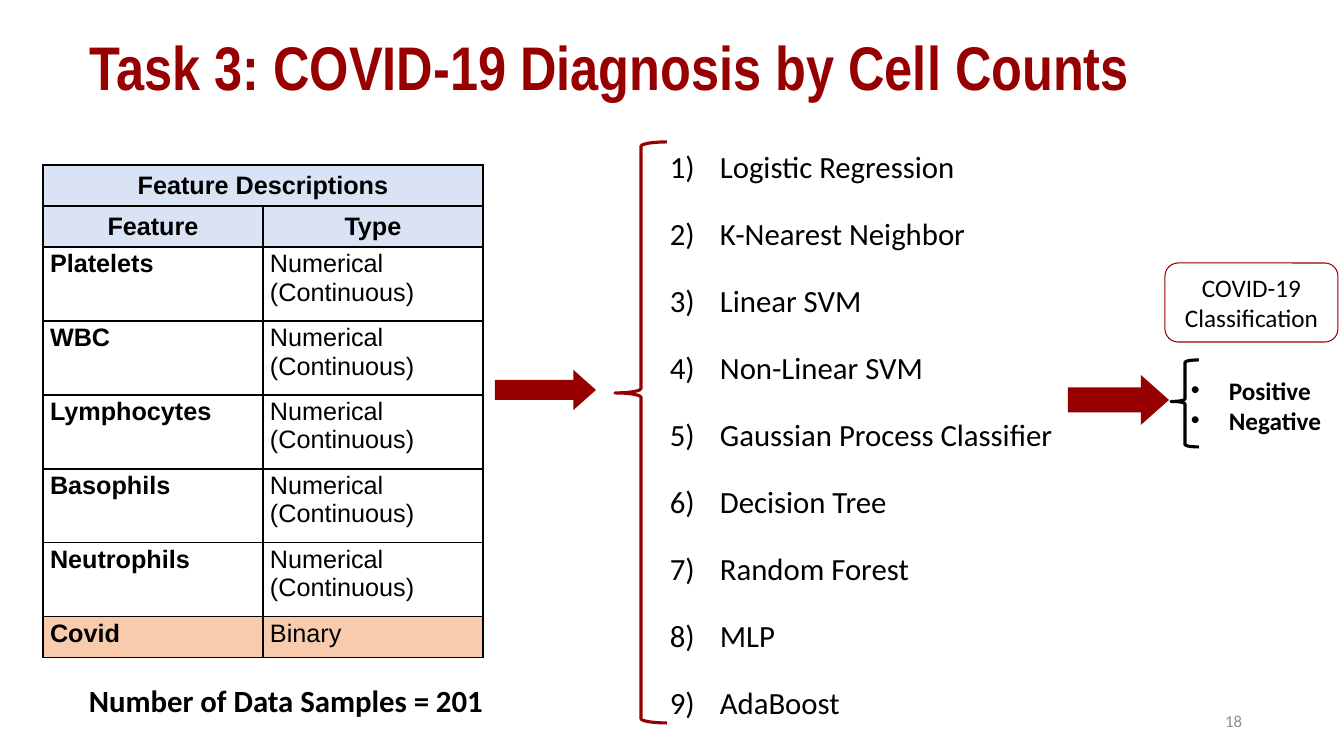
"""Build the slide on COVID-19 diagnosis by cell counts."""
from lxml import etree
from pptx import Presentation
from pptx import util as u
from pptx.dml.color import RGBColor
from pptx.enum import shapes, text
from pptx.oxml import ns

TITLE = "Task 3: COVID-19 Diagnosis by Cell Counts"
TABLE_HEAD = "Feature Descriptions"
COLUMN_HEADS = ("Feature", "Type")
CELL_COUNTS = ("Platelets", "WBC", "Lymphocytes", "Basophils", "Neutrophils")
COUNT_TYPE = "Numerical (Continuous)"
TARGET = ("Covid\u00a0".strip(), "Binary")
SAMPLES = "Number of Data Samples = 201"
MODELS = (
    "Logistic Regression", "K-Nearest Neighbor", "Linear SVM",
    "Non-Linear SVM", "Gaussian Process Classifier", "Decision Tree",
    "Random Forest", "MLP", "AdaBoost",
)
OUTCOME = "COVID-19 Classification"
CLASSES = ("Positive", "Negative")
PAGE = "18"

COLORS = {
    "red": "970000", "black": "000000", "grey": "8C8C8C",
    "white": "FFFFFF", "head": "DAE3F3", "target": "F8CBAD",
}
ARROWS = ((495, 370, 101, 40), (1068, 375, 101, 50))
BRACES = (
    (615, 142, 52, 581, 0.432, "red"),
    (1171, 360, 28, 87, 0.477, "black"),
)
TABLE_LEFT, TABLE_TOP, COLUMN = 43, 165, 220
SHORT_ROW, TALL_ROW = 41, 74
SCALE = 914400 / 100.8


def px(n):
    return u.Emu(round(n * SCALE))


def rgb(name):
    return RGBColor.from_string(COLORS[name])


def style(p, size, bold=False, color="black", font="Calibri", align=None):
    p.alignment = align
    for r in p.runs:
        r.font.size = u.Pt(size)
        r.font.bold = bold
        r.font.name = font
        r.font.color.rgb = rgb(color)


def add_text(s, box, lines):
    tf = s.shapes.add_textbox(*map(px, box)).text_frame
    tf.word_wrap = True
    tf.text = "\n".join(lines)
    return tf


def add_bullet(p, indent, tag, **attrs):
    pPr = p._p.get_or_add_pPr()
    pPr.set("marL", str(px(indent)))
    pPr.set("indent", str(-px(indent)))
    if tag == "a:buChar":
        etree.SubElement(pPr, ns.qn("a:buFont"), typeface="Arial")
    etree.SubElement(pPr, ns.qn(tag), **attrs)


def add_shape(s, kind, box, fill=None, line=None, width=0):
    sp = s.shapes.add_shape(kind, *map(px, box))
    sp.shadow.inherit = False
    if fill:
        sp.fill.solid()
        sp.fill.fore_color.rgb = rgb(fill)
    else:
        sp.fill.background()
    if line:
        sp.line.color.rgb = rgb(line)
        sp.line.width = u.Pt(width)
    else:
        sp.line.fill.background()
    return sp


def fill_cell(cell, words, fill, bold, head=False):
    cell.margin_left = cell.margin_right = px(7)
    cell.margin_top = cell.margin_bottom = px(3)
    tcPr = cell._tc.get_or_add_tcPr()
    for side in "LRTB":
        ln = etree.SubElement(tcPr, ns.qn(f"a:ln{side}"), w=str(u.Pt(1)))
        solid = etree.SubElement(ln, ns.qn("a:solidFill"))
        etree.SubElement(solid, ns.qn("a:srgbClr"), val=COLORS["black"])
    cell.fill.solid()
    cell.fill.fore_color.rgb = rgb(fill)
    cell.text = words
    if head:
        cell.vertical_anchor = text.MSO_ANCHOR.MIDDLE
    align = text.PP_ALIGN.CENTER if head else text.PP_ALIGN.LEFT
    style(cell.text_frame.paragraphs[0], 18, bold, font="Arial", align=align)


def add_features(s):
    rows = [((TABLE_HEAD, ""), "head"), (COLUMN_HEADS, "head")]
    rows += [((name, COUNT_TYPE), "white") for name in CELL_COUNTS]
    rows.append((TARGET, "target"))
    heights = [TALL_ROW if fill == "white" else SHORT_ROW for _, fill in rows]
    box = (TABLE_LEFT, TABLE_TOP, 2 * COLUMN, sum(heights))
    table = s.shapes.add_table(len(rows), 2, *map(px, box)).table
    for column in table.columns:
        column.width = px(COLUMN)
    for i, (words, fill) in enumerate(rows):
        table.rows[i].height = px(heights[i])
        head = fill == "head"
        for j, word in enumerate(words):
            fill_cell(table.cell(i, j), word, fill, head or j == 0, head)
    table.cell(0, 0).merge(table.cell(0, 1))


def add_models(s):
    tf = add_text(s, (660, 124, 420, 614), MODELS)
    for i, p in enumerate(tf.paragraphs):
        p.line_spacing = 1.5
        p.space_before = u.Pt(8.3 if i else 0)
        add_bullet(p, 50, "a:buAutoNum", type="arabicParenR")
        style(p, 22)


def add_outcome(s):
    tf = add_text(s, (1181, 370, 163, 72), CLASSES)
    for p in tf.paragraphs:
        add_bullet(p, 38, "a:buChar", char="•")
        style(p, 18, True)
    kind = shapes.MSO_SHAPE.ROUNDED_RECTANGLE
    sp = add_shape(s, kind, (1165, 263, 173, 79), line="red", width=0.75)
    tf = sp.text_frame
    tf.word_wrap = True
    tf.text = OUTCOME
    style(tf.paragraphs[0], 18, align=text.PP_ALIGN.CENTER)


def add_title(s):
    title = s.shapes.title
    title.left, title.top, title.width, title.height = map(px, (79, -2, 1159, 146))
    tf = title.text_frame
    tf.text = TITLE
    tf.word_wrap = True
    tf.auto_size = text.MSO_AUTO_SIZE.NONE
    tf.vertical_anchor = text.MSO_ANCHOR.MIDDLE
    p = tf.paragraphs[0]
    p.line_spacing = 0.9
    style(p, 44, True, "red", "Arial Narrow", text.PP_ALIGN.LEFT)


def main():
    prs = Presentation()
    prs.slide_width, prs.slide_height = px(1344), px(756)
    s = prs.slides.add_slide(prs.slide_layouts[5])
    add_title(s)
    add_features(s)
    for box in ARROWS:
        sp = add_shape(s, shapes.MSO_SHAPE.RIGHT_ARROW, box, fill="red")
        sp.adjustments[0], sp.adjustments[1] = 0.5, 0.562
    for *box, point, color in BRACES:
        kind = shapes.MSO_SHAPE.LEFT_BRACE
        sp = add_shape(s, kind, box, line=color, width=2.25)
        sp.adjustments[0], sp.adjustments[1] = 0.083, point
    tf = add_text(s, (79, 677, 447, 47), [SAMPLES])
    style(tf.paragraphs[0], 22, True)
    add_models(s)
    add_outcome(s)
    tf = add_text(s, (950, 701, 302, 40), [PAGE])
    tf.vertical_anchor = text.MSO_ANCHOR.MIDDLE
    style(tf.paragraphs[0], 12, color="grey", align=text.PP_ALIGN.RIGHT)
    prs.save("out.pptx")


if __name__ == "__main__":
    main()
